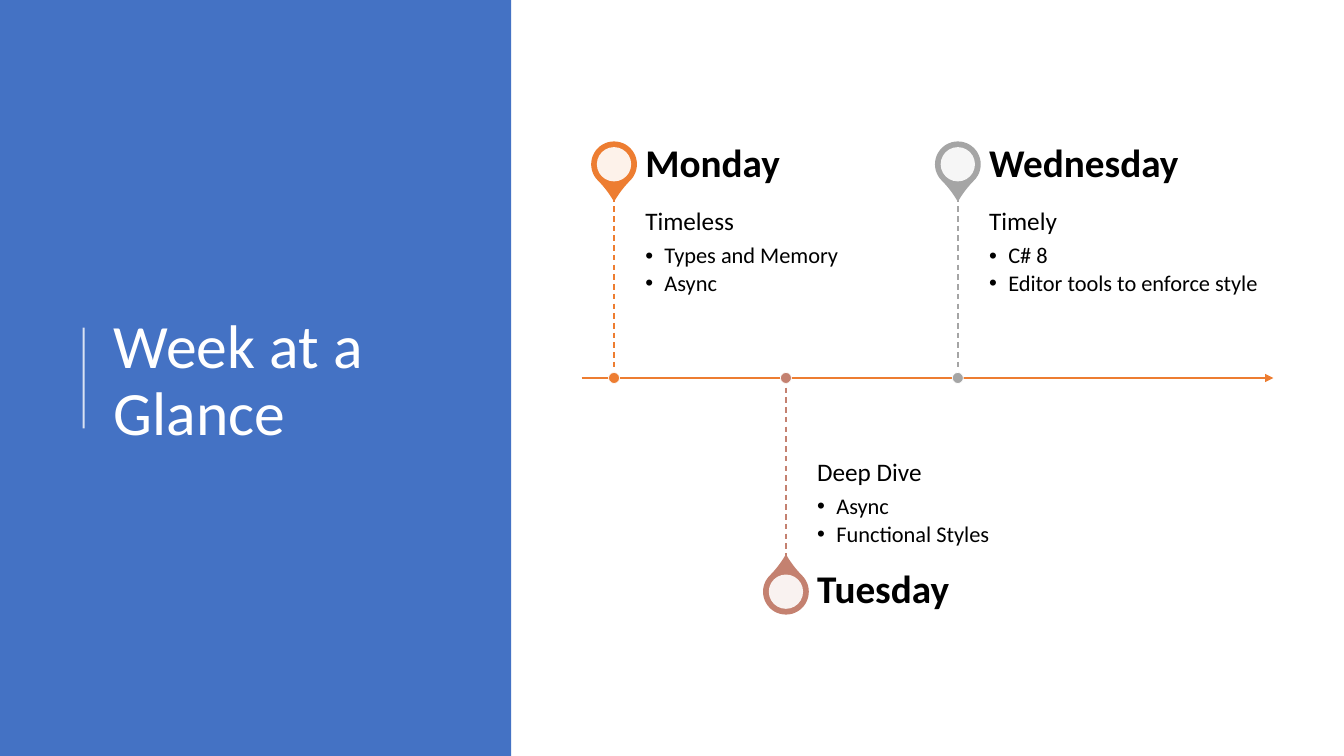
"""Build a slide with a three-day timeline beside a title panel."""
from dataclasses import dataclass
from typing import Optional

from lxml import etree
from pptx import Presentation
from pptx.dml.color import RGBColor
from pptx.enum.dml import MSO_LINE
from pptx.enum.shapes import MSO_CONNECTOR, MSO_SHAPE
from pptx.enum.text import MSO_ANCHOR
from pptx.oxml.ns import qn
from pptx.util import Inches, Pt

DASH = MSO_LINE.DASH
LINE = MSO_CONNECTOR.STRAIGHT
RECT, OVAL, DROP = MSO_SHAPE.RECTANGLE, MSO_SHAPE.OVAL, MSO_SHAPE.TEAR
TOP, MIDDLE, BOTTOM = MSO_ANCHOR.TOP, MSO_ANCHOR.MIDDLE, MSO_ANCHOR.BOTTOM


@dataclass(frozen=True)
class Theme:
    font: str = "Calibri"
    panel: str = "4472C4"
    axis: str = "ED7D31"
    light: str = "FFFFFF"
    dark: str = "000000"
    title: int = 44
    head: int = 28
    topic: int = 18
    item: int = 16


@dataclass(frozen=True)
class Box:
    left: float
    top: float
    width: float
    height: float


@dataclass(frozen=True)
class Para:
    text: str
    size: int
    color: str
    after: float = 0
    bold: bool = False
    bullet: bool = False


@dataclass(frozen=True)
class Day:
    name: str
    topic: str
    items: tuple[str, ...]
    color: str
    above: bool


THEME = Theme()
AXIS_Y = 3.75
FIRST_X, STEP = 6.09, 1.705
STEM, HEAD, REACH = 1.8, 0.63, 2.12
DAYS = (
    Day("Monday", "Timeless", ("Types and Memory", "Async"), "ED7D31", True),
    Day("Tuesday", "Deep Dive", ("Async", "Functional Styles"), "C48170", False),
    Day("Wednesday", "Timely", ("C# 8", "Editor tools to enforce style"), "A5A5A5", True),
)


def add_alpha(fill, percent: int) -> None:
    """Make a solid fill element partly transparent."""
    color = fill.find(".//" + qn("a:srgbClr"))
    etree.SubElement(color, qn("a:alpha"), val=str(percent * 1000))


def add_form(slide, kind, box: Box, fill: str, edge: str = "", weight: float = 0):
    """Add a filled shape, outlined when an edge colour is given."""
    form = slide.shapes.add_shape(
        kind, Inches(box.left), Inches(box.top), Inches(box.width), Inches(box.height))
    form.shadow.inherit = False
    form.fill.solid()
    form.fill.fore_color.rgb = RGBColor.from_string(fill)
    if edge:
        form.line.color.rgb = RGBColor.from_string(edge)
        form.line.width = Pt(weight)
    else:
        form.line.fill.background()
    return form


def add_disc(slide, x: float, y: float, size: float, fill: str,
             edge: str = "", weight: float = 0, kind=OVAL):
    """Add a round form centred on a point."""
    box = Box(x - size / 2, y - size / 2, size, size)
    return add_form(slide, kind, box, fill, edge, weight)


def add_line(slide, start: tuple[float, float], end: tuple[float, float],
             color: str, weight: float, dash: Optional[MSO_LINE] = None):
    """Add a straight line without a shadow."""
    line = slide.shapes.add_connector(LINE, *map(Inches, start + end))
    line.line.color.rgb = RGBColor.from_string(color)
    line.line.width = Pt(weight)
    if dash is not None:
        line.line.dash_style = dash
    etree.SubElement(line._element.spPr, qn("a:effectLst"))
    return line


def add_text(slide, box: Box, paras: list[Para], anchor,
             inset: tuple[float, float, float, float]) -> None:
    """Add a wrapped text box with left, top, right and bottom insets."""
    frame = slide.shapes.add_textbox(
        Inches(box.left), Inches(box.top), Inches(box.width), Inches(box.height)).text_frame
    frame.word_wrap = True
    frame.vertical_anchor = anchor
    frame.margin_left, frame.margin_top, frame.margin_right, frame.margin_bottom = map(Inches, inset)
    for index, para in enumerate(paras):
        line = frame.add_paragraph() if index else frame.paragraphs[0]
        line.text = para.text
        line.line_spacing = 0.9
        line.space_after = Pt(para.after)
        if para.bullet:
            line.level = 1
            props = line._p.get_or_add_pPr()
            props.set("marL", str(Inches(0.19)))
            props.set("indent", str(-Inches(0.19)))
            etree.SubElement(props, qn("a:buFont"), typeface="Arial")
            etree.SubElement(props, qn("a:buChar"), char="•")
        line.font.name = THEME.font
        line.font.size = Pt(para.size)
        line.font.bold = para.bold
        line.font.color.rgb = RGBColor.from_string(para.color)


def add_day(slide, day: Day, x: float) -> None:
    """Draw a day's pin, stem, dot and texts around the axis."""
    side = -1 if day.above else 1
    pin_y = AXIS_Y + side * REACH
    drop = add_disc(slide, x, pin_y, 0.44, day.color, day.color, 1, DROP)
    drop.adjustments[0] = 1.15
    drop.rotation = 135 if day.above else 315
    hole = add_disc(slide, x, pin_y, 0.34, THEME.light)
    add_alpha(hole._element.spPr, 90)

    body_y = AXIS_Y - STEM if day.above else AXIS_Y
    head_y = body_y - HEAD if day.above else body_y + STEM
    left, width = x + 0.31, 2.81
    paras = [Para(day.topic, THEME.topic, THEME.dark, 6.3)]
    paras += [Para(item, THEME.item, THEME.dark, 2.4, bullet=True) for item in day.items]
    inset = (0, 0.12, 0.12, 0.19) if day.above else (0, 0.19, 0, 0.12)
    add_text(slide, Box(left, body_y, width, STEM), paras, TOP if day.above else BOTTOM, inset)
    head = Para(day.name, THEME.head, THEME.dark, 9.8, bold=True)
    add_text(slide, Box(left, head_y, width, HEAD), [head], MIDDLE, (0, 0, 0.19, 0))

    add_line(slide, (x, body_y), (x, body_y + STEM), day.color, 1, DASH)
    add_disc(slide, x, AXIS_Y, 0.11, day.color, THEME.light, 0.5)


def main() -> None:
    """Build and save the slide."""
    deck = Presentation()
    deck.slide_width, deck.slide_height = Inches(13.33), Inches(7.5)
    slide = deck.slides.add_slide(deck.slide_layouts[6])
    add_form(slide, RECT, Box(0, 0, 5.07, 7.5), THEME.panel)
    title = Para("Week at a Glance", THEME.title, THEME.light)
    add_text(slide, Box(1.03, 0.78, 3.69, 6.02), [title], MIDDLE, (0.1, 0.05, 0.1, 0.05))
    rule = add_line(slide, (0.83, 4.25), (0.83, 3.25), THEME.light, 1.5)
    add_alpha(rule.line._ln, 80)
    axis = add_line(slide, (5.77, AXIS_Y), (12.63, AXIS_Y), THEME.axis, 1.5)
    etree.SubElement(axis.line._ln, qn("a:tailEnd"), type="triangle")
    for index, day in enumerate(DAYS):
        add_day(slide, day, FIRST_X + index * STEP)
    deck.save("out.pptx")


if __name__ == "__main__":
    main()
